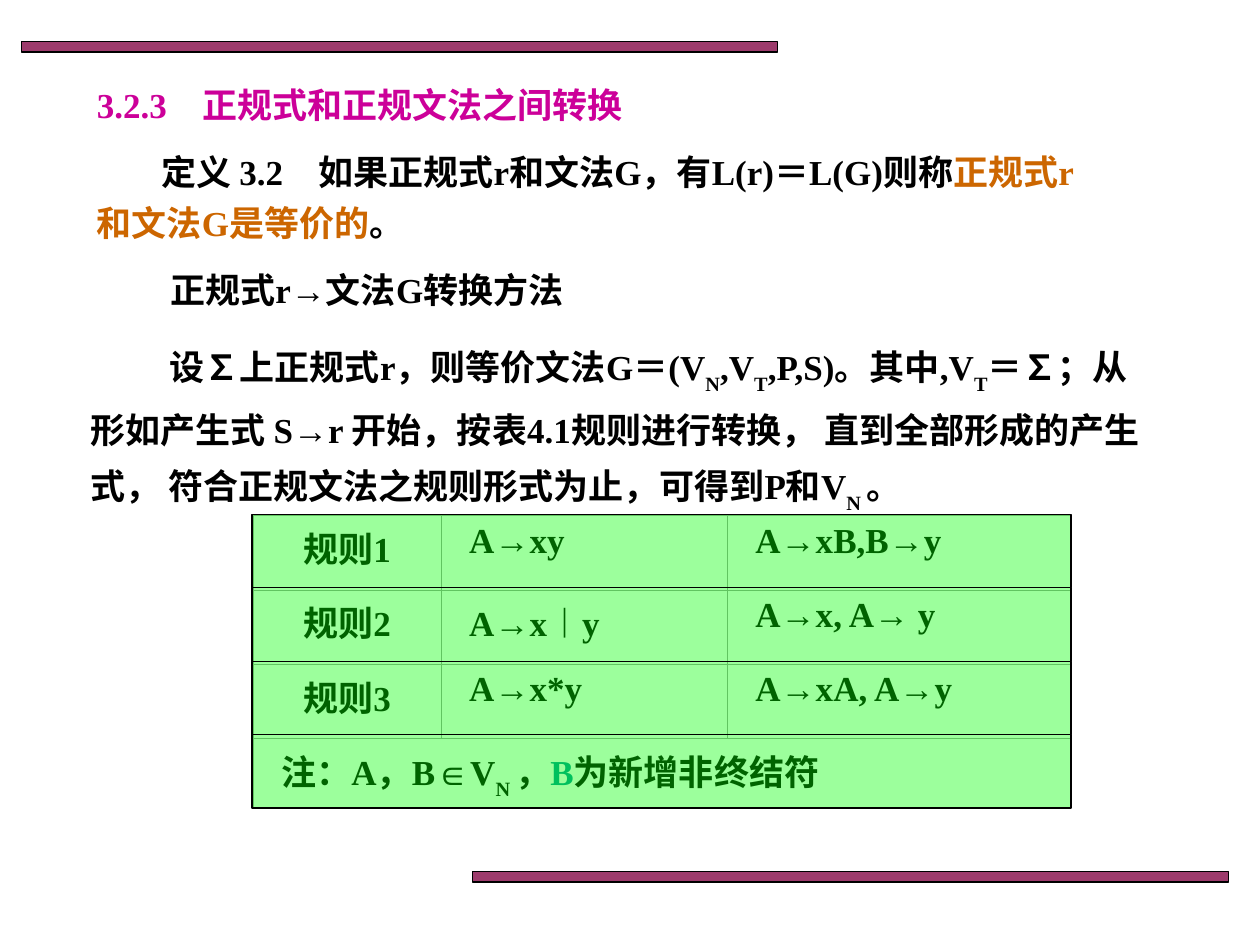
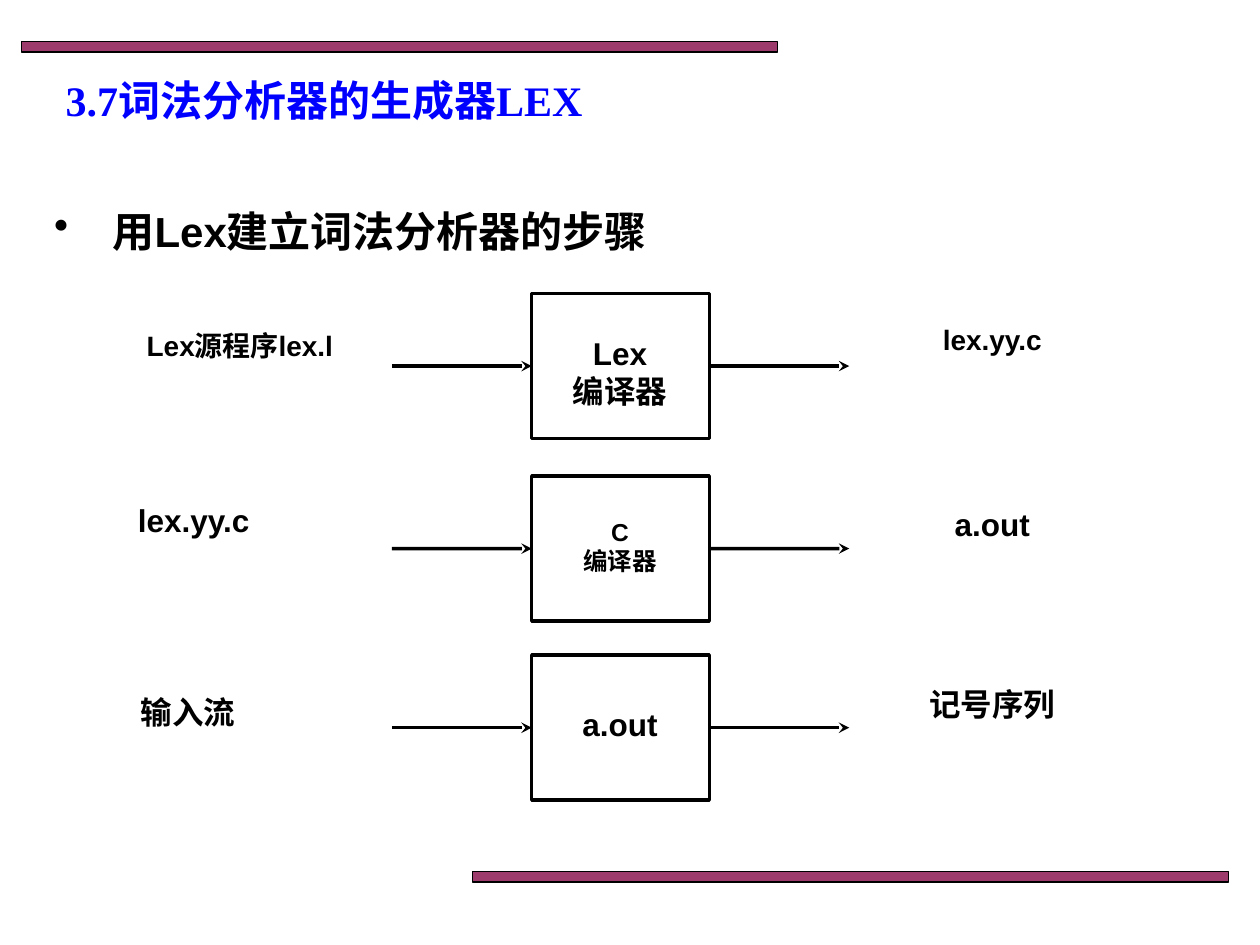
import pptx
import pptx.dml.color
import pptx.enum.shapes
import pptx.enum.text
import pptx.oxml
import pptx.oxml.ns
import pptx.util
from lxml import etree

Cm = pptx.util.Cm
Pt = pptx.util.Pt
ALIGN = pptx.enum.text.PP_ALIGN
ANCHOR = pptx.enum.text.MSO_ANCHOR
RECT = pptx.enum.shapes.MSO_SHAPE.RECTANGLE
qn = pptx.oxml.ns.qn

COLORS = {
    "black": "000000",
    "band": "993366",
    "grid": "A0A0A0",
    "tint": "00FF00",
    "new": "009999",
    "term": "CC6600",
    "section": "CC0099",
    "chapter": "0000FF",
}
SERIF, SANS = "Times New Roman", "Arial"
SUB = "sub"

DEFINITION = [
    ("定义 3.2　如果正规式r和文法G，有L(r)＝L(G)则称", None),
    ("正规式r和文法G是等价的", "term"),
    ("。", None),
]
METHOD = [
    ("设∑上正规式r，则等价文法G＝(V", None), ("N", SUB),
    (",V", None), ("T", SUB),
    (",P,S)。其中,V", None), ("T", SUB),
    ("＝∑；从形如产生式 S→r 开始，按表4.1规则进行转换， 直到全部形成的产生式， "
     "符合正规文法之规则形式为止，可得到P和V", None),
    ("N ", SUB), ("。", None),
]
RULES = [
    ("规则1", "A→xy", "A→xB,B→y"),
    ("规则2", "A→x︱y", "A→x, A→ y"),
    ("规则3", "A→x*y", "A→xA, A→y"),
]
NOTE = [
    ("注：A，B∈V", None), ("N ", SUB), ("，", None),
    ("B", "new"), ("为新增非终结符", None),
]


def rgb(name):
    return pptx.dml.color.RGBColor.from_string(COLORS[name])


def set_alpha(sp, percent):
    clr = sp.fill._xPr.find(qn("a:solidFill"))[0]
    etree.SubElement(clr, qn("a:alpha")).set("val", str(percent * 1000))


def add_rect(slide, left, top, width, height, fill=None, alpha=100, line=0.75):
    sp = slide.shapes.add_shape(RECT, Cm(left), Cm(top), Cm(width), Cm(height))
    sp.shadow.inherit = False
    if fill:
        sp.fill.solid()
        sp.fill.fore_color.rgb = rgb(fill)
        set_alpha(sp, alpha)
    else:
        sp.fill.background()
    sp.line.color.rgb = rgb("black")
    sp.line.width = Pt(line)
    return sp


def write(p, segments, size=20, font=SERIF, color="black", align=ALIGN.LEFT):
    if isinstance(segments, str):
        segments = [(segments, None)]
    p.alignment = align
    p.font.name = font
    p.font.size = Pt(size)
    p.font.bold = True
    p.font.color.rgb = rgb(color)
    for text, style in segments:
        r = p.add_run()
        r.text = text
        if style == SUB:
            r._r.get_or_add_rPr().set("baseline", "-30000")
        elif style:
            r.font.color.rgb = rgb(style)


def indent(p, margin, first):
    pPr = p._p.get_or_add_pPr()
    pPr.set("marL", str(Cm(margin)))
    pPr.set("indent", str(Cm(first)))
    return pPr


def set_margins(target, left, top, right, bottom):
    target.margin_left, target.margin_top = Cm(left), Cm(top)
    target.margin_right, target.margin_bottom = Cm(right), Cm(bottom)


def add_text(slide, left, top, width, height, segments, **style):
    sp = slide.shapes.add_textbox(Cm(left), Cm(top), Cm(width), Cm(height))
    tf = sp.text_frame
    tf.word_wrap = True
    write(tf.paragraphs[0], segments, **style)
    return tf


def add_titled_slide(prs, text, left, top, width, height, size, color):
    slide = prs.slides.add_slide(prs.slide_layouts[5])
    title = slide.shapes.title
    title.left, title.top = Cm(left), Cm(top)
    title.width, title.height = Cm(width), Cm(height)
    tf = title.text_frame
    tf.auto_size = pptx.enum.text.MSO_AUTO_SIZE.NONE
    tf.vertical_anchor = ANCHOR.MIDDLE
    write(tf.paragraphs[0], text, size=size, color=color)
    return slide


def add_master_bands(prs, slide):
    tree = prs.slide_master.element.cSld.spTree
    for i, (left, top) in enumerate([(0.43, 0.84), (9.53, 17.57)]):
        sp = add_rect(slide, left, top, 15.24, 0.21, "band", 96)
        sp.element.nvSpPr.cNvPr.set("id", str(101 + i))
        tree.insert(2 + i, sp.element)


def set_borders(cell):
    tcPr = cell._tc.get_or_add_tcPr()
    for i, side in enumerate(("lnL", "lnR", "lnT", "lnB")):
        tcPr.insert(i, pptx.oxml.parse_xml(
            f'<a:{side} {pptx.oxml.ns.nsdecls("a")} w="3175"><a:solidFill>'
            f'<a:srgbClr val="{COLORS["grid"]}"/></a:solidFill></a:{side}>'))


def fill_cell(cell, segments, align):
    set_margins(cell, 0.57, 0.13, 0.57, 0.13)
    write(cell.text_frame.paragraphs[0], segments, align=align)


def add_rule_table(slide, left, top):
    widths, heights = (3.79, 5.77, 6.92), (1.5, 1.5, 1.5, 1.2)
    table = slide.shapes.add_table(
        len(heights), len(widths), Cm(left), Cm(top),
        Cm(sum(widths)), Cm(sum(heights))).table
    table.first_row = table.horz_banding = False
    for column, width in zip(table.columns, widths):
        column.width = Cm(width)
    for row, height in zip(table.rows, heights):
        row.height = Cm(height)
    for cell in table.iter_cells():
        cell.fill.background()
        set_borders(cell)
    for i, rule in enumerate(RULES):
        for j, text in enumerate(rule):
            align = ALIGN.JUSTIFY if j else ALIGN.CENTER
            fill_cell(table.cell(i, j), text, align)
    note = table.cell(3, 0)
    note.merge(table.cell(3, 2))
    fill_cell(note, NOTE, ALIGN.JUSTIFY)


def add_step_box(slide, top, text, size, text_top):
    sp = add_rect(slide, 10.72, top, 3.58, 2.92, line=2)
    tf = sp.text_frame
    tf.word_wrap = True
    tf.vertical_anchor = ANCHOR.TOP
    set_margins(tf, 0.23, text_top, 0.25, 0.03)
    for i, line in enumerate(text.split("\n")):
        p = tf.add_paragraph() if i else tf.paragraphs[0]
        write(p, line, size=size, font=SANS, align=ALIGN.CENTER)
    return sp


def add_arrow(slide, x1, x2, y):
    cxn = slide.shapes.add_connector(
        pptx.enum.shapes.MSO_CONNECTOR.STRAIGHT, Cm(x1), Cm(y), Cm(x2), Cm(y))
    cxn.line.color.rgb = rgb("black")
    cxn.line.width = Pt(2)
    etree.SubElement(cxn.line._get_or_add_ln(), qn("a:tailEnd")).set("type", "stealth")
    etree.SubElement(cxn.element.spPr, qn("a:effectLst"))
    return cxn


def add_step_label(slide, left, top, width, text, size):
    tf = add_text(slide, left, top, width, 1.63, text,
                  size=size, font=SANS, align=ALIGN.CENTER)
    set_margins(tf, 0.23, 0.08, 0.25, 0.13)


def add_step(slide, top, source, tool, result):
    box = add_step_box(slide, top, *tool)
    middle = top + 1.46
    add_arrow(slide, 7.9, 10.72, middle).end_connect(box, 1)
    add_arrow(slide, 14.3, 17.12, middle).begin_connect(box, 3)
    add_step_label(slide, *source)
    add_step_label(slide, 17.17, top + 0.51, 5.69, *result)


def build_conversion_slide(prs):
    slide = add_titled_slide(prs, "3.2.3　正规式和正规文法之间转换",
                             1.7, 1.48, 14.81, 1.27, 20, "section")
    add_rule_table(slide, 5.1, 10.39)
    for i in range(4):
        add_rect(slide, 5.08, 10.37 + 1.48 * i, 16.51, 1.48, "tint", 39)
    p = add_text(slide, 1.7, 2.75, 20.32, 2.29, DEFINITION).paragraphs[0]
    p.line_spacing = 1.2
    indent(p, 0, 1.3)
    p = add_text(slide, 1.57, 6.55, 21.79, 3.56, METHOD).paragraphs[0]
    p.line_spacing = 1.3
    indent(p, 0, 1.6)
    add_text(slide, 3.18, 5.28, 9.73, 1.09, "正规式r→文法G转换方法")
    return slide


def build_lex_slide(prs):
    slide = add_titled_slide(prs, "3.7词法分析器的生成器LEX",
                             1.07, 0.84, 23.29, 2.34, 24, "chapter")
    tf = add_text(slide, 0.84, 4.01, 23.5, 2.11, "用Lex建立词法分析器的步骤",
                  size=24, font=SANS)
    pPr = indent(tf.paragraphs[0], 1.18, -1.18)
    bullet = pptx.oxml.parse_xml(
        f'<a:buChar {pptx.oxml.ns.nsdecls("a")} char="•"/>')
    pPr.insert_element_before(bullet, "a:tabLst", "a:defRPr", "a:extLst")
    add_step(slide, 5.92, (1.9, 6.55, 5.89, "Lex源程序lex.l", 16),
             ("Lex\n编译器", 18, 0.82), ("lex.yy.c", 16))
    add_step(slide, 9.6, (2.11, 10.03, 3.61, "lex.yy.c", 18),
             ("C\n编译器", 14, 0.82), ("a.out", 18))
    add_step(slide, 13.21, (2.11, 13.89, 3.38, "输入流", 18),
             ("a.out", 18, 1), ("记号序列", 18))


def main():
    prs = pptx.Presentation()
    prs.slide_width, prs.slide_height = Cm(25.4), Cm(19.05)
    slide = build_conversion_slide(prs)
    add_master_bands(prs, slide)
    build_lex_slide(prs)
    prs.save("out.pptx")


if __name__ == "__main__":
    main()
